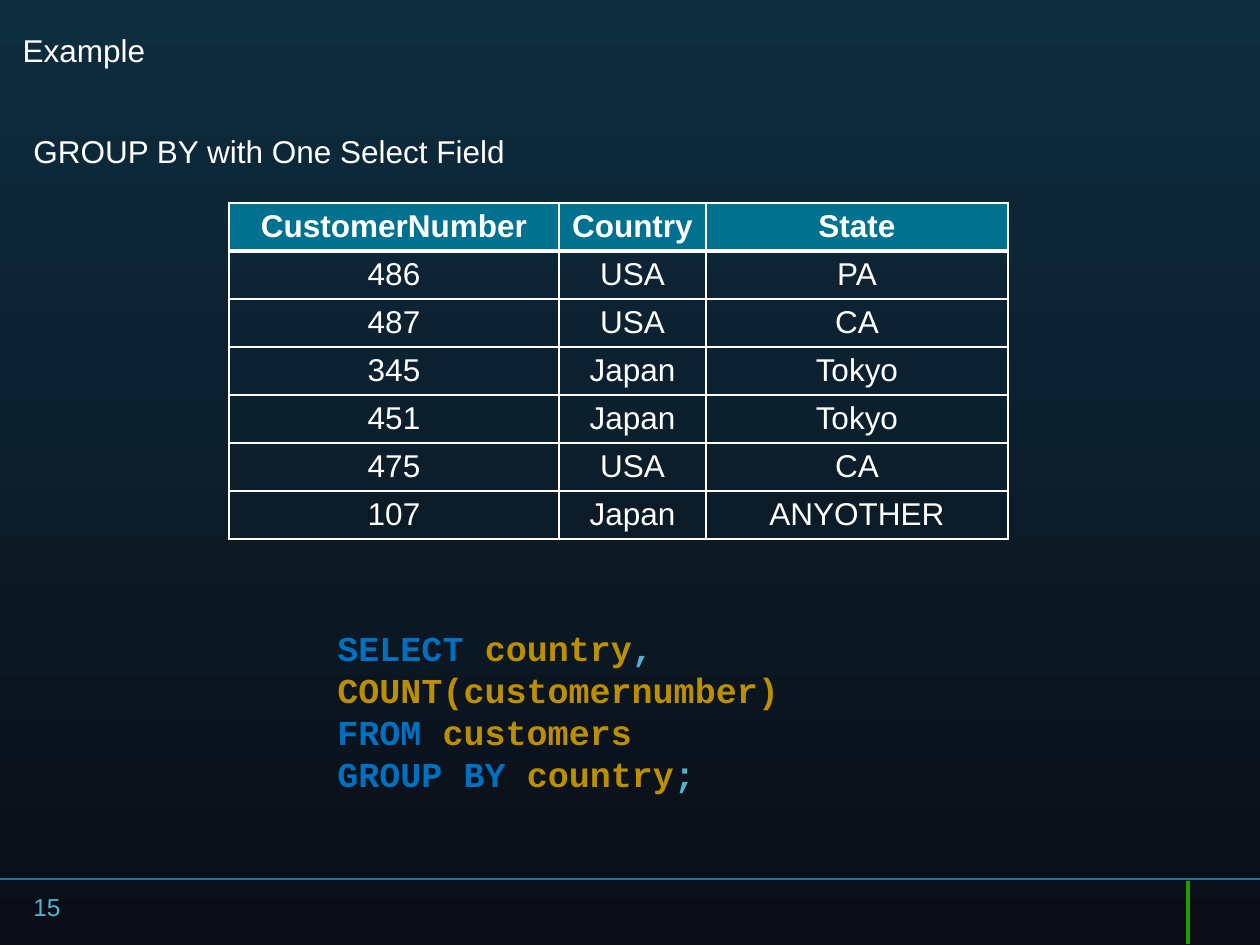
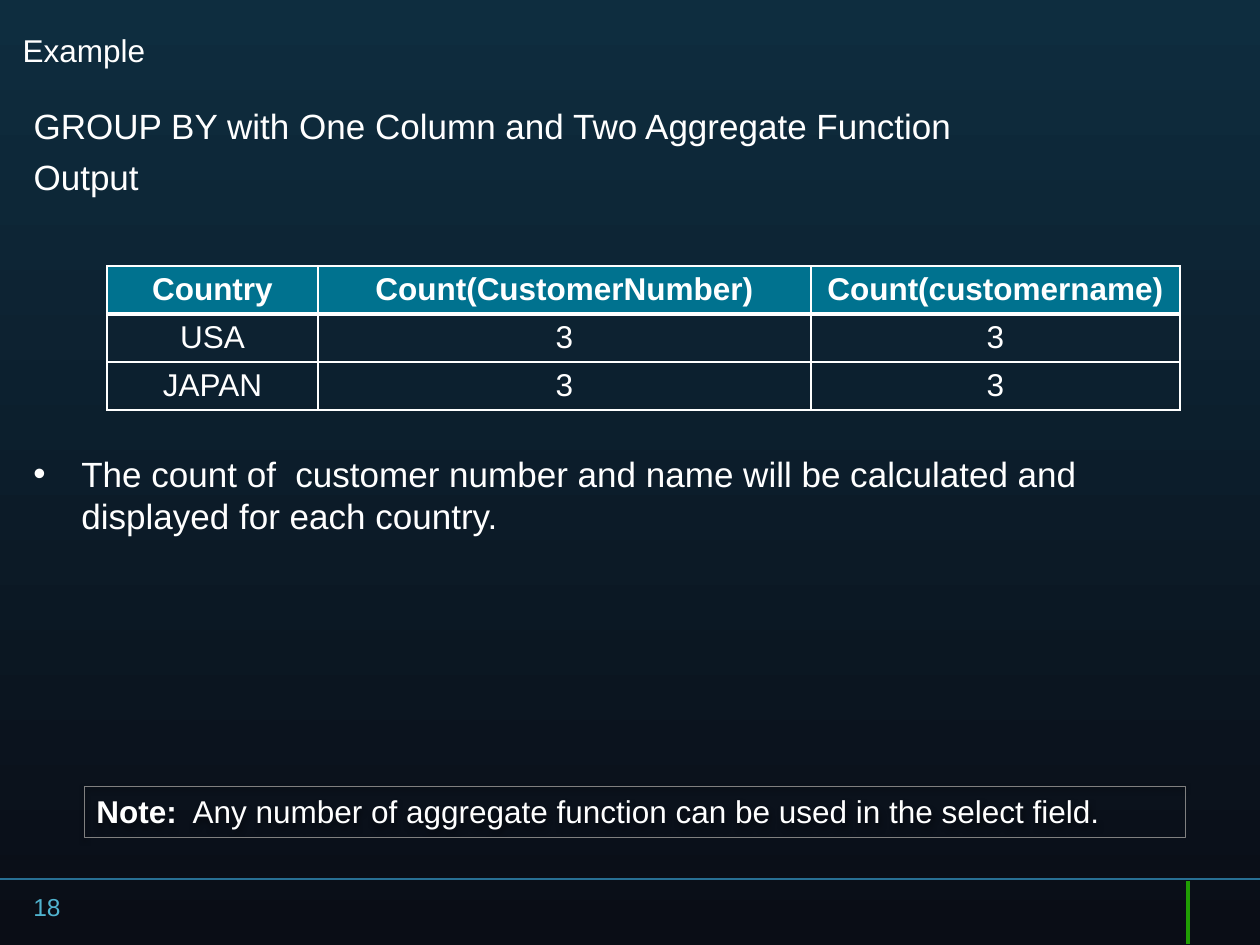
from lxml.etree import SubElement
from pptx import Presentation
from pptx.dml.color import RGBColor as Rgb
from pptx.enum.shapes import MSO_CONNECTOR as Connector, MSO_SHAPE as Shape
from pptx.enum.text import MSO_ANCHOR as Anchor, MSO_AUTO_SIZE as AutoSize, PP_ALIGN as Align
from pptx.oxml.ns import qn
from pptx.util import Emu, Pt

PX = 914400 / 126
COLORS = {
    "sky": "0E2D3F", "night": "0A0D16", "rule": "287094", "tick": "209D03",
    "text": "FFFFFF", "header": "00728F", "accent": "50B3CF",
    "keyword": "0070C0", "name": "BC8F00", "frame": "808080", "shadow": "000000",
}
SANS, MONO = "Arial", "Courier New"
ROW_HEIGHT = 48


def px(*lengths):
    return [Emu(round(length * PX)) for length in lengths]


def rgb(key):
    return Rgb.from_string(COLORS[key])


def add_color(parent, key):
    return SubElement(parent, qn("a:srgbClr"), val=COLORS[key])


def style_run(run, size, color="text", font=SANS, bold=False):
    run.font.name, run.font.size, run.font.bold = font, Pt(size), bold
    run.font.color.rgb = rgb(color)


def write(frame, paragraphs, size, font=SANS):
    frame.word_wrap = True
    frame.auto_size = AutoSize.NONE
    frame.vertical_anchor = Anchor.TOP
    frame.text = "\n".join("" for _ in paragraphs)
    for paragraph, pieces in zip(frame.paragraphs, paragraphs):
        paragraph.alignment = Align.LEFT
        for text, color, bold in pieces:
            run = paragraph.add_run()
            run.text = text
            style_run(run, size, color, font, bold)


def plain(*lines):
    return [[(line, "text", False)] for line in lines]


def place(shape, box):
    shape.left, shape.top, shape.width, shape.height = px(*box)


def add_text(slide, box, paragraphs, size, font=SANS):
    frame = slide.shapes.add_textbox(*px(*box)).text_frame
    write(frame, paragraphs, size, font)
    return frame


def set_bullet(paragraph, indent, symbol=None):
    properties = paragraph._p.get_or_add_pPr()
    margin = px(indent)[0]
    properties.set("marL", str(margin))
    properties.set("indent", str(-margin))
    if symbol:
        SubElement(properties, qn("a:buFont"), typeface=SANS)
        SubElement(properties, qn("a:buChar"), char=symbol)
    else:
        SubElement(properties, qn("a:buNone"))


def add_rule(slide, ends, color, width):
    rule = slide.shapes.add_connector(Connector.STRAIGHT, *px(*ends))
    rule.line.color.rgb = rgb(color)
    rule.line.width = Pt(width)
    SubElement(rule._element.spPr, qn("a:effectLst"))


def add_background(master):
    fill = master.background.fill
    fill.gradient()
    fill.gradient_angle = 270
    for stop, color, position in zip(fill.gradient_stops, ("sky", "night"), (0, 1)):
        stop.color.rgb = rgb(color)
        stop.position = position


def add_frame(deck, layout, title, number):
    slide = deck.slides.add_slide(deck.slide_layouts[layout])
    add_rule(slide, (1260, 879, 0, 879), "rule", 0.75)
    add_rule(slide, (1188, 881, 1188, 944), "tick", 2)
    place(slide.shapes.title, (10, 25, 945, 48))
    write(slide.shapes.title.text_frame, plain(title), 18)
    add_text(slide, (21, 886, 63, 38), [[(number, "accent", False)]], 14)
    return slide


def set_borders(cell, row):
    properties = cell._tc.get_or_add_tcPr()
    thick = {"B": row == 0, "T": row == 1}
    for side in "LRTB":
        width = Pt(3 if thick.get(side) else 1)
        line = SubElement(properties, qn(f"a:ln{side}"), w=str(width))
        add_color(SubElement(line, qn("a:solidFill")), "text")


def add_grid(slide, left, top, widths, rows):
    box = px(left, top, sum(widths), ROW_HEIGHT * len(rows))
    table = slide.shapes.add_table(len(rows), len(widths), *box).table
    table.horz_banding = False
    for column, width in zip(table.columns, px(*widths)):
        column.width = width
    for r, values in enumerate(rows):
        table.rows[r].height = px(ROW_HEIGHT)[0]
        for c, value in enumerate(values):
            cell = table.cell(r, c)
            cell.text = value
            cell.vertical_anchor = Anchor.MIDDLE
            set_borders(cell, r)
            if r == 0:
                cell.fill.solid()
                cell.fill.fore_color.rgb = rgb("header")
            else:
                cell.fill.background()
            paragraph = cell.text_frame.paragraphs[0]
            paragraph.alignment = Align.CENTER
            style_run(paragraph.runs[0], 18, bold=r == 0)


def add_note(slide, box, label, text):
    note = slide.shapes.add_shape(Shape.RECTANGLE, *px(*box))
    note.fill.background()
    note.line.color.rgb = rgb("frame")
    note.line.width = Pt(0.25)
    note.shadow.inherit = False
    effects = note._element.spPr.find(qn("a:effectLst"))
    shadow = SubElement(effects, qn("a:outerShdw"), blurRad="40000", dist="20000",
                        dir="5400000", rotWithShape="0")
    SubElement(add_color(shadow, "shadow"), qn("a:alpha"), val="38000")
    write(note.text_frame, [[(label, "text", True), (text, "text", False)]], 18)


def add_query_slide(deck):
    slide = add_frame(deck, 5, "Example", "15")
    add_text(slide, (21, 126, 525, 50), plain("GROUP BY with One Select Field"), 18)
    add_grid(slide, 229, 203, (330, 147, 302), [
        ("CustomerNumber", "Country", "State"),
        ("486", "USA", "PA"),
        ("487", "USA", "CA"),
        ("345", "Japan", "Tokyo"),
        ("451", "Japan", "Tokyo"),
        ("475", "USA", "CA"),
        ("107", "Japan", "ANYOTHER"),
    ])
    query = [
        [("SELECT ", "keyword", True), ("country", "name", True),
         (", ", "accent", True), ("COUNT(customernumber)", "name", True)],
        [("FROM ", "keyword", True), ("customers", "name", True)],
        [("GROUP BY ", "keyword", True), ("country", "name", True), (";", "accent", True)],
    ]
    add_text(slide, (325, 620, 525, 183), query, 20, MONO)


def add_output_slide(deck):
    slide = add_frame(deck, 1, "Example", "18")
    heading = slide.placeholders[1]
    place(heading, (21, 98, 1134, 105))
    write(heading.text_frame,
          plain("GROUP BY with One Column and Two Aggregate Function", "Output"), 20)
    for paragraph in heading.text_frame.paragraphs:
        paragraph.space_before = Pt(5)
        set_bullet(paragraph, 0)
    add_grid(slide, 107, 266, (211, 493, 369), [
        ("Country", "Count(CustomerNumber)", "Count(customername)"),
        ("USA", "3", "3"),
        ("JAPAN", "3", "3"),
    ])
    remark = add_text(slide, (21, 446, 1134, 134), plain(
        "The count of  customer number and name will be calculated and "
        "displayed for each country."), 20)
    set_bullet(remark.paragraphs[0], 48, "•")
    add_note(slide, (84, 786, 1101, 51), "Note: ",
             " Any number of aggregate function can be used in the select field.")


def main():
    deck = Presentation()
    deck.slide_width, deck.slide_height = px(1260, 945)
    add_background(deck.slide_master)
    add_query_slide(deck)
    add_output_slide(deck)
    deck.save("out.pptx")


if __name__ == "__main__":
    main()
